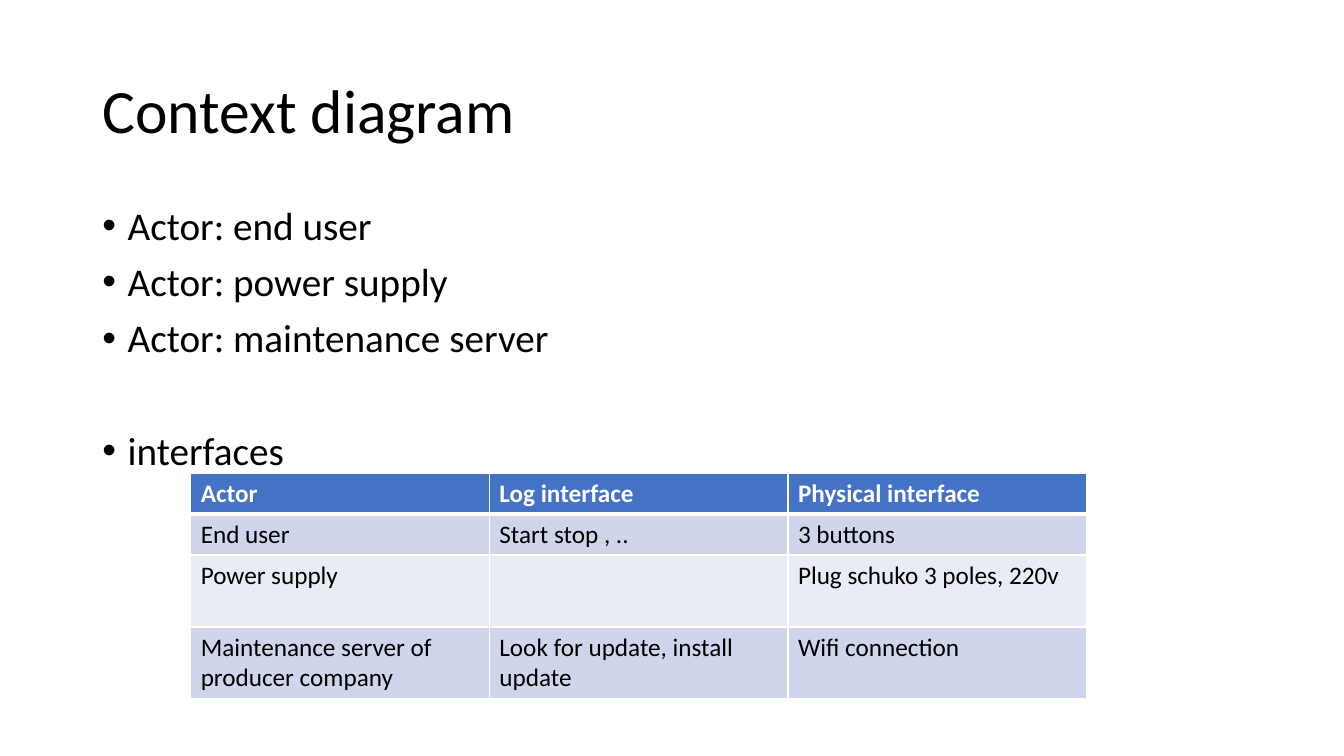
from pptx import Presentation
from pptx.dml.color import RGBColor
from pptx.enum.text import MSO_ANCHOR as Anchor, MSO_AUTO_SIZE as AutoSize, PP_ALIGN as Align
from pptx.oxml.ns import qn
from pptx.util import Pt
from lxml.etree import SubElement

BLACK = RGBColor(0x00, 0x00, 0x00)
WHITE = RGBColor(0xFF, 0xFF, 0xFF)
HEADER_BLUE = RGBColor(0x44, 0x72, 0xC4)
BAND_DARK = RGBColor(0xCF, 0xD5, 0xEA)
BAND_LIGHT = RGBColor(0xE9, 0xEB, 0xF5)

ACTORS = [("Actor: end user", 10), ("Actor: power supply", 10),
          ("Actor: maintenance server", 10), ("interfaces", 50.2)]
INTERFACES = [
    ("Actor", "Log interface", "Physical interface"),
    ("End user", "Start stop , ..", "3 buttons"),
    ("Power supply", "", "Plug schuko 3 poles, 220v "),
    ("Maintenance server of producer company", "Look for update, install update",
     "Wifi connection"),
]
ROW_HEIGHTS = (29.2, 29.2, 51.5, 50.4)


class ContextSlide:
    """Holds the slide and its text style, and draws each kind of element."""

    def __init__(self, deck, font="Calibri"):
        self.slide = deck.slides.add_slide(deck.slide_layouts[1])
        self.font = font

    def add_words(self, paragraph, words, size, color=BLACK, bold=False):
        run = paragraph.add_run()
        run.text = words
        run.font.name, run.font.size, run.font.bold = self.font, Pt(size), bold
        run.font.color.rgb = color

    def place(self, holder, left, top, width, height, anchor):
        holder.left, holder.top = Pt(left), Pt(top)
        holder.width, holder.height = Pt(width), Pt(height)
        frame = holder.text_frame
        frame.word_wrap = True
        frame.auto_size = AutoSize.NONE
        frame.vertical_anchor = anchor
        return frame

    def title(self, words, *box):
        heading = self.place(self.slide.shapes.title, *box, Anchor.MIDDLE).paragraphs[0]
        heading.alignment = Align.LEFT
        heading.line_spacing = 0.9
        self.add_words(heading, words, 44)

    def bullets(self, items, *box):
        frame = self.place(self.slide.placeholders[1], *box, Anchor.TOP)
        for index, (words, gap) in enumerate(items):
            item = frame.add_paragraph() if index else frame.paragraphs[0]
            item.line_spacing = 0.9
            item.space_before = Pt(gap)
            properties = item._p.get_or_add_pPr()
            properties.set("marL", str(Pt(18)))
            properties.set("indent", str(Pt(-18)))
            self.add_words(item, words, 28)

    def border(self, cell, sides):
        properties = cell._tc.get_or_add_tcPr()
        for side, width in sides.items():
            line = SubElement(properties, qn(f"a:ln{side}"), w=str(Pt(width)))
            paint = SubElement(line, qn("a:solidFill"))
            SubElement(paint, qn("a:srgbClr"), val=str(WHITE))

    def table(self, rows, heights, left, top, width):
        columns = len(rows[0])
        grid = self.slide.shapes.add_table(
            len(rows), columns, Pt(left), Pt(top), Pt(width), Pt(sum(heights))).table
        for column in grid.columns:
            column.width = Pt(width / columns)
        for index, (entries, height) in enumerate(zip(rows, heights)):
            grid.rows[index].height = Pt(height)
            header = index == 0
            band = HEADER_BLUE if header else BAND_DARK if index % 2 else BAND_LIGHT
            for position, words in enumerate(entries):
                cell = grid.cell(index, position)
                self.border(cell, {"L": 1, "R": 1, "T": 3 if index == 1 else 1,
                                   "B": 3 if header else 1})
                cell.fill.solid()
                cell.fill.fore_color.rgb = band
                if words:
                    self.add_words(cell.text_frame.paragraphs[0], words, 18,
                                   WHITE if header else BLACK, header)


deck = Presentation()
deck.slide_width, deck.slide_height = Pt(960), Pt(540)
context = ContextSlide(deck)
context.title("Context diagram", 66, 28.75, 828, 104.4)
context.bullets(ACTORS, 66, 143.75, 828, 342.6)
context.table(INTERFACES, ROW_HEIGHTS, 136.2, 338, 640)
deck.save("out.pptx")
